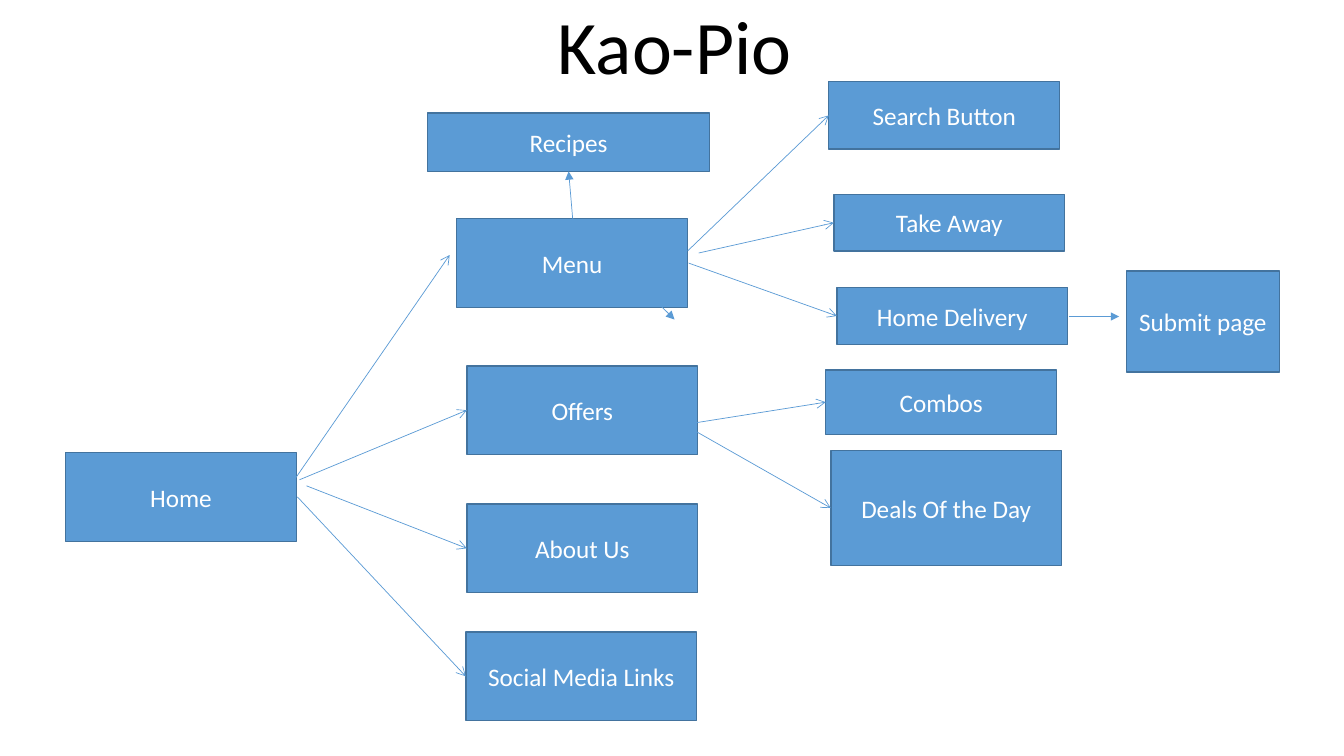
from lxml import etree
from pptx import Presentation
from pptx.dml.color import RGBColor
from pptx.enum.shapes import MSO_CONNECTOR, MSO_SHAPE
from pptx.enum.text import MSO_ANCHOR, MSO_AUTO_SIZE, PP_ALIGN
from pptx.oxml.ns import qn
from pptx.util import Inches, Pt

COLORS = {"box": "5B9BD5", "border": "43739E", "title": "000000", "label": "FFFFFF"}
FONT = "Calibri"
TITLE = "Kao-Pio"
BOX_W, PAGE_H = 2.29, 0.88

BOXES = {
    "Home": (0.65, 4.49, BOX_W, PAGE_H),
    "Menu": (4.53, 2.17, BOX_W, PAGE_H),
    "Offers": (4.63, 3.63, BOX_W, PAGE_H),
    "About Us": (4.63, 5, BOX_W, PAGE_H),
    "Social Media Links": (4.62, 6.27, BOX_W, PAGE_H),
    "Search Button": (8.22, 0.81, BOX_W, 0.67),
    "Take Away": (8.27, 1.93, BOX_W, 0.56),
    "Home Delivery": (8.3, 2.85, BOX_W, 0.57),
    "Combos": (8.19, 3.67, BOX_W, 0.64),
    "Deals Of the Day": (8.24, 4.47, BOX_W, 1.14),
    "Submit page": (11.17, 2.69, 1.52, 1),
    "Recipes": (4.24, 1.12, 2.8, 0.58),
}

LINKS = [
    ((6.82, 2.49), "Search Button"),
    ((6.93, 2.51), "Take Away"),
    ((6.83, 2.61), "Home Delivery"),
    ((6.8, 4.21), "Combos"),
    ((6.48, 4.04), "Deals Of the Day"),
    ((2.97, 4.76), "Offers"),
    ((3.04, 4.82), "About Us"),
    ((2.95, 4.93), "Social Media Links"),
]

FREE_ARROWS = [
    ((2.92, 4.76), (4.46, 2.53), "arrow"),
    ((10.6, 3.14), (11.1, 3.14), "triangle"),
    ((5.69, 2.17), (6.69, 3.17), "triangle"),
    ((5.68, 2.17), (5.64, 1.7), "triangle"),
]


def rgb(name):
    return RGBColor.from_string(COLORS[name])


def write(sp, text, size=18, color="label", anchor=MSO_ANCHOR.MIDDLE, spacing=1.0):
    tf = sp.text_frame
    tf.word_wrap = True
    tf.auto_size = MSO_AUTO_SIZE.NONE
    tf.vertical_anchor = anchor
    p = tf.paragraphs[0]
    p.alignment = PP_ALIGN.CENTER
    p.line_spacing = spacing
    r = p.add_run()
    r.text = text
    r.font.size = Pt(size)
    r.font.name = FONT
    r.font.color.rgb = rgb(color)


def add_box(s, text, bounds):
    sp = s.shapes.add_shape(MSO_SHAPE.RECTANGLE, *map(Inches, bounds))
    sp.shadow.inherit = False
    sp.fill.solid()
    sp.fill.fore_color.rgb = rgb("box")
    sp.line.color.rgb = rgb("border")
    sp.line.width = Pt(1)
    write(sp, text)


def add_arrow(s, start, end, head):
    c = s.shapes.add_connector(MSO_CONNECTOR.STRAIGHT, *map(Inches, start + end))
    c.line.color.rgb = rgb("box")
    c.line.width = Pt(0.5)
    etree.SubElement(c.line._get_or_add_ln(), qn("a:tailEnd"), type=head)
    etree.SubElement(c._element.spPr, qn("a:effectLst"))


def left_middle(name):
    x, y, w, h = BOXES[name]
    return x, y + h / 2


def main():
    prs = Presentation()
    prs.slide_width, prs.slide_height = Inches(13.33), Inches(7.5)
    s = prs.slides.add_slide(prs.slide_layouts[5])

    title = s.shapes.title
    title.left, title.top = Inches(1.69), Inches(0.16)
    title.width, title.height = Inches(10), Inches(0.79)
    write(title, TITLE, size=54, color="title", anchor=MSO_ANCHOR.BOTTOM, spacing=0.9)

    for text, bounds in BOXES.items():
        add_box(s, text, bounds)
    for start, target in LINKS:
        add_arrow(s, start, left_middle(target), "arrow")
    for start, end, head in FREE_ARROWS:
        add_arrow(s, start, end, head)

    prs.save("out.pptx")


if __name__ == "__main__":
    main()
